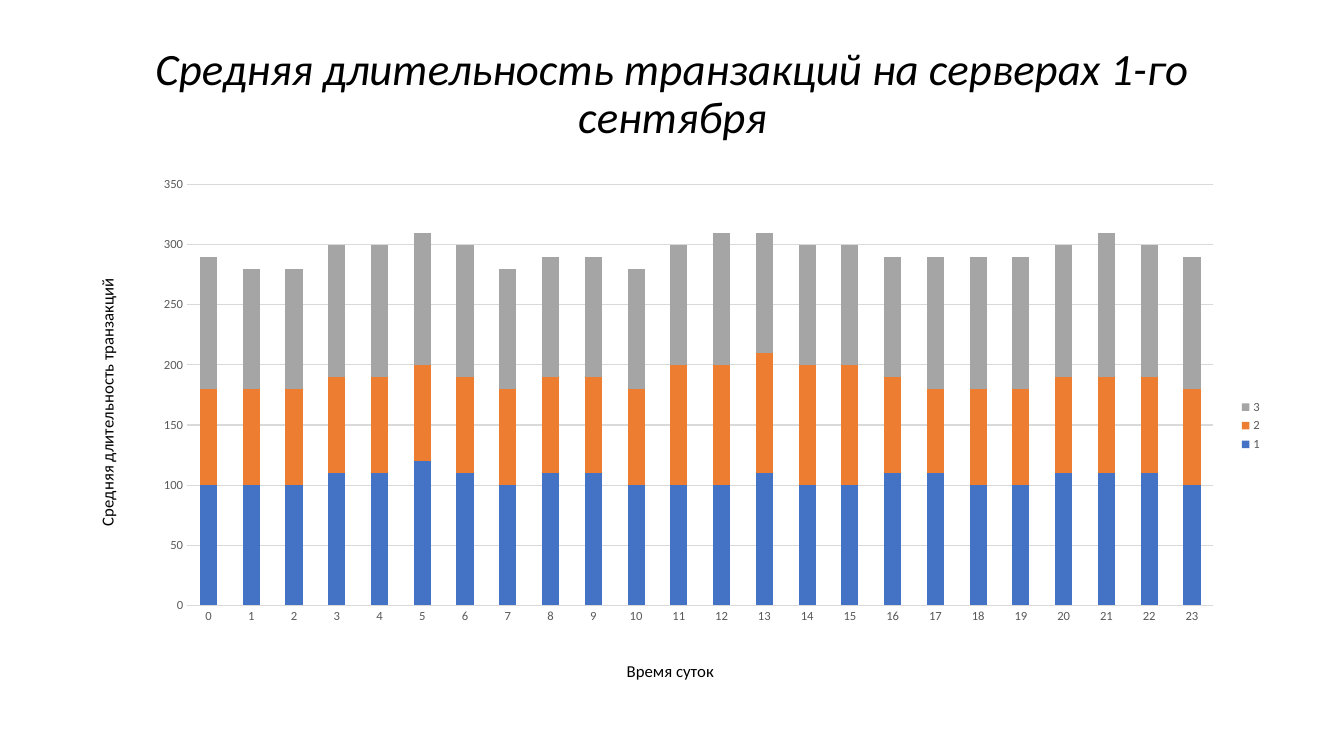
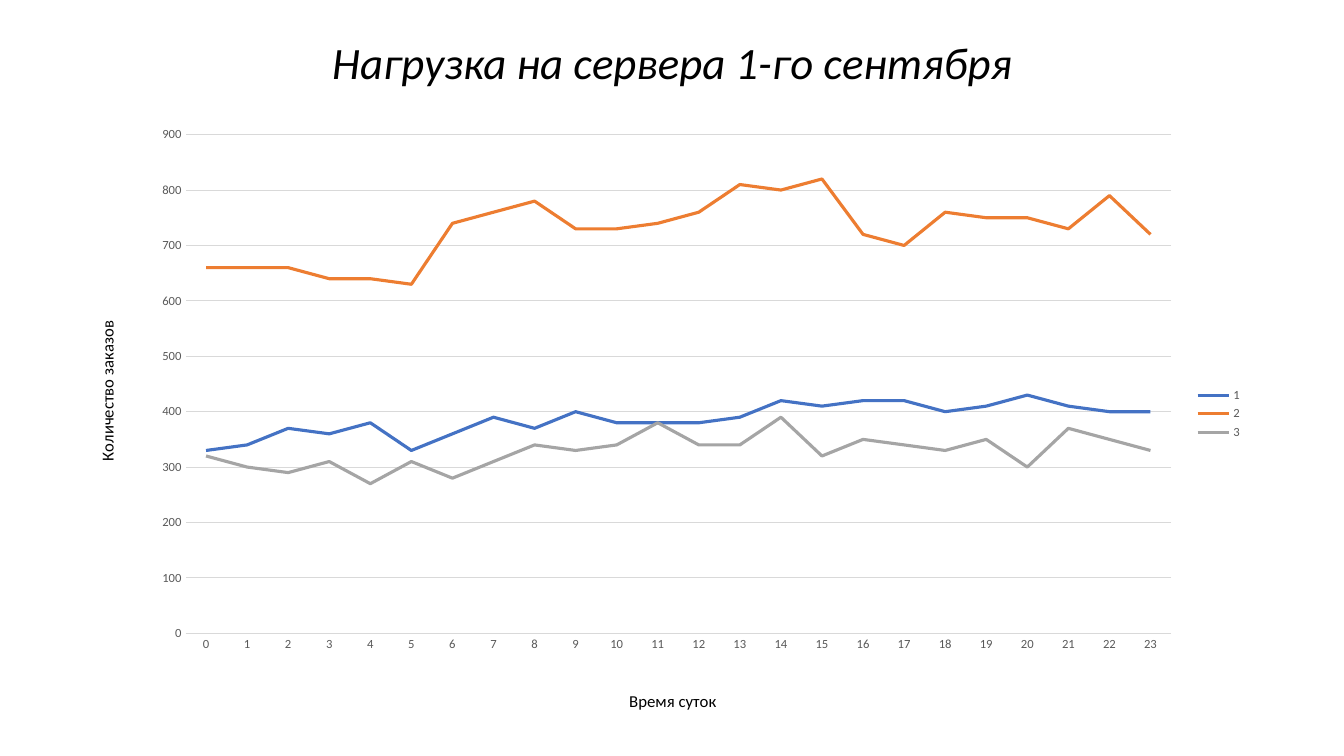
from dataclasses import dataclass

from lxml import etree
from pptx import Presentation
from pptx.chart.data import CategoryChartData
from pptx.dml.color import RGBColor
from pptx.enum import chart as ch, text as txt
from pptx.oxml import ns
from pptx.util import Inches, Pt


@dataclass(frozen=True)
class Theme:
    font: str = "Calibri"
    ink: str = "000000"
    label: str = "595959"
    grid: str = "D9D9D9"
    servers: tuple = ("4472C4", "ED7D31", "A5A5A5")
    title_size: int = 32
    axis_title_size: int = 12
    chart_size: int = 10
    label_size: int = 9
    grid_width: float = 0.75
    series_width: float = 2.25


THEME = Theme()
HOURS = [str(hour) for hour in range(24)]
TITLE_ONLY = 5

DURATIONS = [
    (100, 100, 100, 110, 110, 120, 110, 100, 110, 110, 100, 100,
     100, 110, 100, 100, 110, 110, 100, 100, 110, 110, 110, 100),
    (80, 80, 80, 80, 80, 80, 80, 80, 80, 80, 80, 100,
     100, 100, 100, 100, 80, 70, 80, 80, 80, 80, 80, 80),
    (110, 100, 100, 110, 110, 110, 110, 100, 100, 100, 100, 100,
     110, 100, 100, 100, 100, 110, 110, 110, 110, 120, 110, 110),
]
ORDERS = [
    (330, 340, 370, 360, 380, 330, 360, 390, 370, 400, 380, 380,
     380, 390, 420, 410, 420, 420, 400, 410, 430, 410, 400, 400),
    (660, 660, 660, 640, 640, 630, 740, 760, 780, 730, 730, 740,
     760, 810, 800, 820, 720, 700, 760, 750, 750, 730, 790, 720),
    (320, 300, 290, 310, 270, 310, 280, 310, 340, 330, 340, 380,
     340, 340, 390, 320, 350, 340, 330, 350, 300, 370, 350, 330),
]


def rgb(value):
    return RGBColor.from_string(value)


def style_font(font, size, color, italic=False):
    font.name = THEME.font
    font.size = Pt(size)
    font.color.rgb = rgb(color)
    font.bold = False
    font.italic = italic


def write_text(frame, text, *, size, color=THEME.ink, italic=False, spacing=None):
    paragraph = frame.paragraphs[0]
    paragraph.alignment = txt.PP_ALIGN.CENTER
    if spacing:
        paragraph.line_spacing = spacing
    run = paragraph.add_run()
    run.text = text
    style_font(run.font, size, color, italic)


def style_line(line, color, width):
    line.color.rgb = rgb(color)
    line.width = Pt(width)


def place(element, index, **fractions):
    """Fix a chart part at fractions of the chart's width and height."""
    for old in element.findall(ns.qn("c:layout")):
        element.remove(old)
    layout = etree.Element(ns.qn("c:layout"))
    manual = etree.SubElement(layout, ns.qn("c:manualLayout"))
    settings = {"xMode": "edge", "yMode": "edge", **fractions}
    if "w" in fractions:
        settings = {"layoutTarget": "inner", **settings}
    for tag, value in settings.items():
        etree.SubElement(manual, ns.qn(f"c:{tag}")).set("val", str(value))
    element.insert(index, layout)


def style_axis(axis, title, x, y):
    axis.major_tick_mark = axis.minor_tick_mark = ch.XL_TICK_MARK.NONE
    style_font(axis.tick_labels.font, THEME.label_size, THEME.label)
    write_text(axis.axis_title.text_frame, title, size=THEME.axis_title_size)
    place(axis.axis_title._element, 1, x=x, y=y)


def add_title(slide, text, top, height):
    title = slide.shapes.title
    title.left, title.top = Inches(0.92), Inches(top)
    title.width, title.height = Inches(11.5), Inches(height)
    title.text_frame.vertical_anchor = txt.MSO_ANCHOR.MIDDLE
    write_text(title.text_frame, text, size=THEME.title_size, italic=True, spacing=0.9)


def add_hourly_chart(slide, kind, box, values, value_title, plot_area,
                     hour_title_at, value_title_at):
    """Chart the three servers by hour, with titled axes and a legend."""
    data = CategoryChartData(number_format="0")
    data.categories = HOURS
    for server, series_values in enumerate(values, 1):
        data.add_series(str(server), series_values)
    chart = slide.shapes.add_chart(kind, *map(Inches, box), data).chart
    chart.has_title = False
    style_font(chart.font, THEME.chart_size, THEME.ink)

    style_axis(chart.category_axis, "Время суток", *hour_title_at)
    style_line(chart.category_axis.format.line, THEME.grid, THEME.grid_width)
    scale = chart.value_axis
    style_axis(scale, value_title, *value_title_at)
    turned = scale.axis_title.text_frame._txBody.bodyPr
    turned.set("rot", "-5400000")
    turned.set("vert", "horz")
    scale.format.line.fill.background()
    scale.has_major_gridlines = True
    style_line(scale.major_gridlines.format.line, THEME.grid, THEME.grid_width)

    chart.has_legend = True
    chart.legend.position = ch.XL_LEGEND_POSITION.RIGHT
    chart.legend.include_in_layout = False
    style_font(chart.legend.font, THEME.label_size, THEME.label)
    place(chart._chartSpace.chart.plotArea, 0, **plot_area)
    plot = chart.plots[0]
    plot.vary_by_categories = False
    return plot


def add_duration_slide(deck):
    slide = deck.slides.add_slide(deck.slide_layouts[TITLE_ONLY])
    add_title(slide, "Средняя длительность транзакций на серверах 1-го сентября", 0.4, 1.08)
    columns = add_hourly_chart(
        slide, ch.XL_CHART_TYPE.COLUMN_STACKED, (0.92, 1.68, 11.7, 5.13), DURATIONS,
        "Средняя длительность транзакций", dict(x=0.08, y=0.03, w=0.87, h=0.82),
        hour_title_at=(0.45, 0.95), value_title_at=(0, 0.21))
    columns.gap_width, columns.overlap = 150, 100
    for series, color in zip(columns.series, THEME.servers):
        series.format.fill.solid()
        series.format.fill.fore_color.rgb = rgb(color)


def add_load_slide(deck):
    slide = deck.slides.add_slide(deck.slide_layouts[TITLE_ONLY])
    add_title(slide, "Нагрузка на сервера 1-го сентября", 0.26, 0.77)
    lines = add_hourly_chart(
        slide, ch.XL_CHART_TYPE.LINE, (0.92, 1.16, 11.5, 5.95), ORDERS,
        "Количество заказов", dict(x=0.08, y=0.03, w=0.85, h=0.84),
        hour_title_at=(0.46, 0.96), value_title_at=(0, 0.34))
    for series, color in zip(lines.series, THEME.servers):
        series.smooth = False
        series.marker.style = ch.XL_MARKER_STYLE.NONE
        style_line(series.format.line, color, THEME.series_width)


def main():
    deck = Presentation()
    deck.slide_width, deck.slide_height = Inches(13.33), Inches(7.5)
    add_duration_slide(deck)
    add_load_slide(deck)
    deck.save("out.pptx")


if __name__ == "__main__":
    main()
